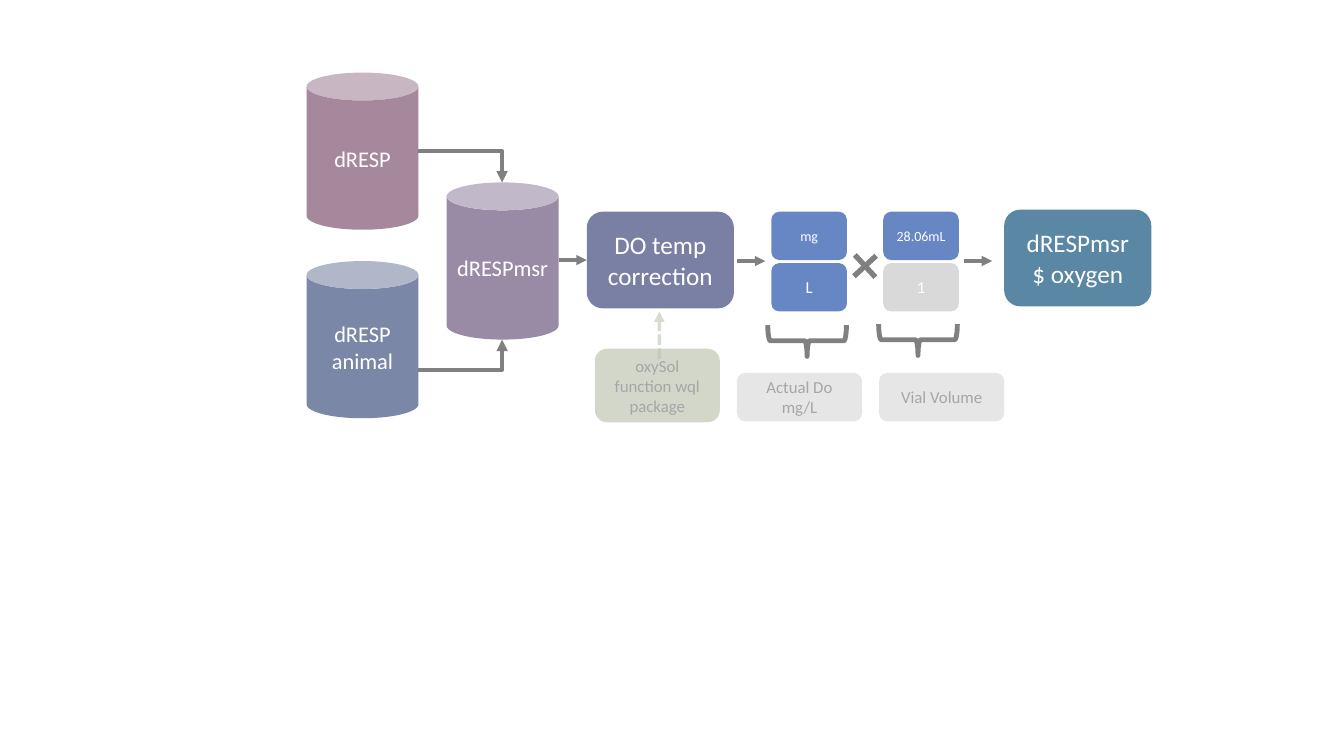
from lxml import etree
from pptx import Presentation
from pptx import util as u
from pptx.dml.color import RGBColor
from pptx.enum import dml, shapes, text
from pptx.oxml.ns import qn

S = shapes.MSO_SHAPE
C = shapes.MSO_CONNECTOR
WHITE, GREY, PALE, SAGE, BLUE, MUTED = "FFFFFF", "808080", "E7E6E6", "BAC3AE", "6687C4", "A6A6A6"


def rgb(value):
    """Turn a hex string into a colour."""
    return RGBColor.from_string(value)


class Flow:
    """Hold the style and the current slide of the flow diagram."""

    def __init__(self, prs, font="Calibri"):
        """Add a blank slide and keep the font."""
        self.s = prs.slides.add_slide(prs.slide_layouts[6])
        self.font = font

    def paint(self, fmt, color, alpha=None):
        """Apply a solid colour, with opacity in percent if given."""
        fmt.solid()
        fmt.fore_color.rgb = rgb(color)
        if alpha:
            clr = fmt._xPr.find(qn("a:solidFill"))[0]
            etree.SubElement(clr, qn("a:alpha")).set("val", str(alpha * 1000))

    def shape(self, kind, x, y, w, h, fill=None, alpha=None):
        """Add a preset shape without shadow or outline."""
        sp = self.s.shapes.add_shape(kind, *map(u.Inches, (x, y, w, h)))
        sp.shadow.inherit = False
        sp.line.fill.background()
        if fill:
            self.paint(sp.fill, fill, alpha)
        else:
            sp.fill.background()
        return sp

    def label(self, sp, lines, size, color):
        """Write centred lines into a shape."""
        tf = sp.text_frame
        tf.word_wrap = True
        tf.vertical_anchor = text.MSO_ANCHOR.MIDDLE
        for i, line in enumerate(lines):
            p = tf.add_paragraph() if i else tf.paragraphs[0]
            p.alignment = text.PP_ALIGN.CENTER
            r = p.add_run()
            r.text = line
            r.font.name, r.font.size = self.font, u.Pt(size)
            r.font.color.rgb = rgb(color)

    def can(self, x, y, lines, fill, alpha=None):
        """Add a data store."""
        sp = self.shape(S.CAN, x, y, 1.11, 1.56, fill, alpha)
        self.label(sp, lines, 16, WHITE)

    def box(self, x, y, w, h, line, size, fill, color=WHITE, alpha=None):
        """Add a labelled rounded box."""
        sp = self.shape(S.ROUNDED_RECTANGLE, x, y, w, h, fill, alpha)
        self.label(sp, [line], size, color)
        return sp

    def brace(self, x, y):
        """Add a brace that opens upwards."""
        sp = self.shape(S.LEFT_BRACE, x, y, 0.31, 0.78)
        sp.rotation = 270
        sp.line.width = u.Pt(3.5)
        self.paint(sp.line.fill, GREY)

    def times(self, x, y):
        """Add a multiplication sign."""
        sp = self.shape(S.CROSS, x, y, 0.3, 0.3, GREY)
        sp.adjustments[0] = 0.411
        sp.rotation = 47.3

    def arrow(self, x1, y1, x2, y2, kind=C.STRAIGHT, width=2.5, color=GREY, alpha=None, dash=None):
        """Add a straight or one-bend arrow."""
        cx = self.s.shapes.add_connector(kind, *map(u.Inches, (x1, y1, x2, y2)))
        cx.line.width = u.Pt(width)
        self.paint(cx.line.fill, color, alpha)
        if dash:
            cx.line.dash_style = dash
        spPr = cx._element.spPr
        if kind == C.ELBOW:
            spPr.find(qn("a:prstGeom")).set("prst", "bentConnector2")
        etree.SubElement(spPr.find(qn("a:ln")), qn("a:tailEnd")).set("type", "triangle")
        etree.SubElement(spPr, qn("a:effectLst"))
        return cx


def main():
    """Build the slide and save it."""
    prs = Presentation()
    prs.slide_width, prs.slide_height = u.Inches(13.33), u.Inches(7.5)
    flow = Flow(prs)

    flow.can(4.43, 1.81, ["dRESPmsr"], "998BA6")
    flow.can(3.04, 0.72, ["dRESP"], "7F5671", 70)
    flow.can(3.04, 2.59, ["dRESP", "animal"], "7B87A6")
    for start, end in ((1.5, 1.81), (3.67, 3.37)):
        flow.arrow(4.15, start, 4.98, end, C.ELBOW, 2.75)

    correction = flow.box(5.82, 2.1, 1.46, 0.96, "DO temp correction", 18, "7A80A4")
    fractions = (
        (7.65, ("mg", 10, BLUE), ("L", 12, BLUE)),
        (8.76, ("28.06mL", 10, BLUE), ("1", 12, "D9D9D9")),
    )
    for x, *parts in fractions:
        for y, part in zip((2.1, 2.61), parts):
            flow.box(x, y, 0.75, 0.48, *part)
    flow.times(8.43, 2.49)

    notes = ((7.85, 2.99, 7.31, "Actual Do mg/L"), (8.95, 2.98, 8.72, "Vial Volume"))
    for brace_x, brace_y, x, line in notes:
        flow.brace(brace_x, brace_y)
        flow.box(x, 3.7, 1.24, 0.48, line, 12, PALE, MUTED)

    flow.arrow(5.54, 2.58, 5.82, 2.58).end_connect(correction, 1)
    for x in (7.31, 9.56):
        flow.arrow(x, 2.59, x + 0.28, 2.59)

    flow.box(5.9, 3.46, 1.24, 0.73, "oxySol function wql package", 12, SAGE, MUTED, 65)
    flow.arrow(6.54, 3.56, 6.54, 3.09, color=SAGE, alpha=56, dash=dml.MSO_LINE.SQUARE_DOT)
    flow.box(9.96, 2.08, 1.46, 0.96, "dRESPmsr $ oxygen", 18, "5987A4")

    prs.save("out.pptx")


if __name__ == "__main__":
    main()
